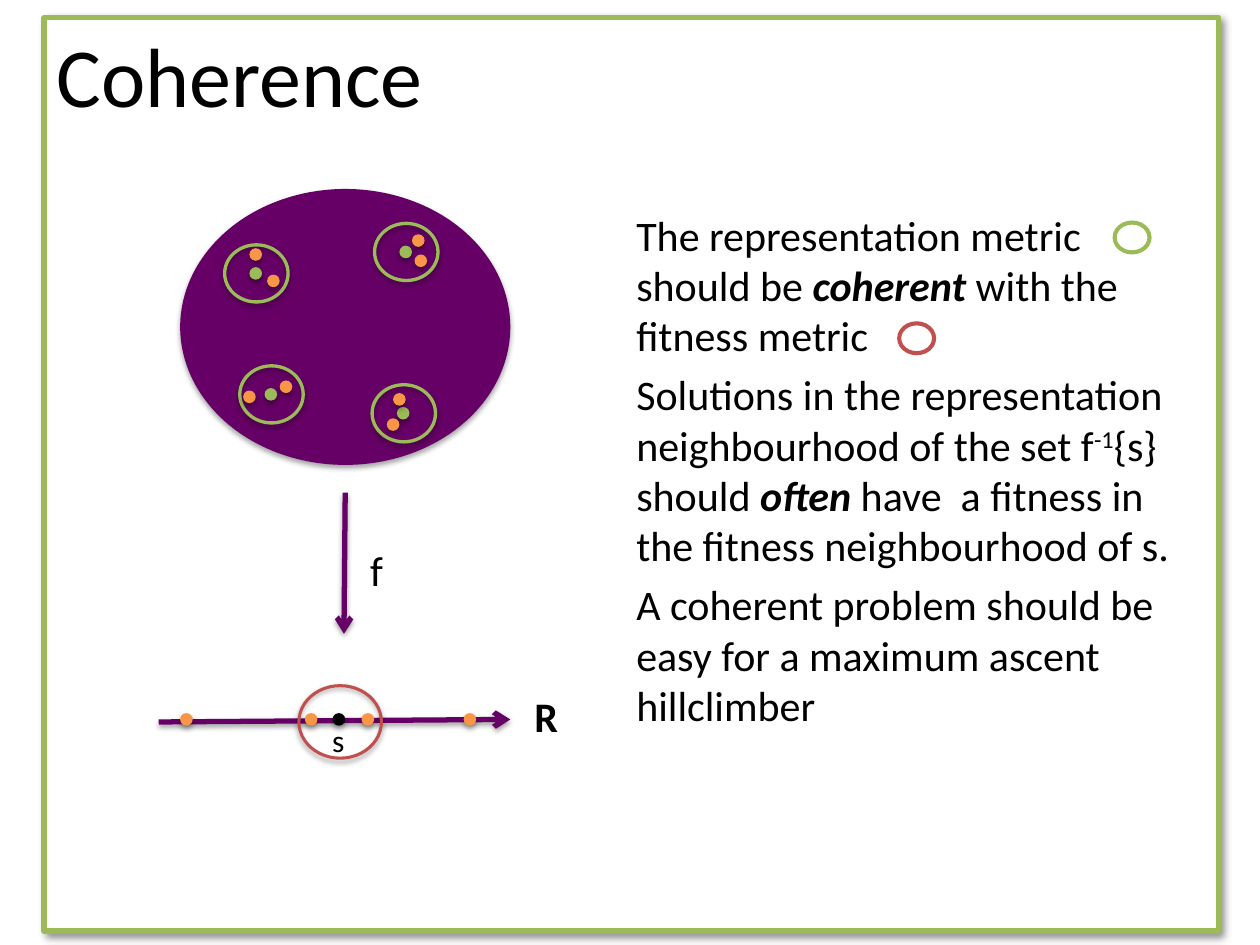
from lxml.etree import SubElement as Sub
from pptx import Presentation
from pptx.dml.color import RGBColor
from pptx.enum.shapes import MSO_CONNECTOR as Conn, MSO_SHAPE as Kind
from pptx.enum.text import MSO_ANCHOR as Anchor, MSO_AUTO_SIZE as Fit, PP_ALIGN as Align
from pptx.oxml.ns import qn
from pptx.util import Inches, Pt

WHITE = RGBColor(0xFF, 0xFF, 0xFF)
BLACK = RGBColor(0x00, 0x00, 0x00)
GREEN = RGBColor(0x9B, 0xBB, 0x59)
RED = RGBColor(0xC0, 0x50, 0x4D)
ORANGE = RGBColor(0xF7, 0x96, 0x46)
PURPLE = RGBColor(0x66, 0x00, 0x66)
SOFT = (35, 3.1, 1.8, 90)
LINED = (38, 3.1, 1.6, 90)
FRAMED = (43, 4, 3, 45)
DOT = 0.1


def shade(item, look):
    """Give an item a black outer shadow, or none when look is empty."""
    props = item._element.spPr
    box = props.find(qn("a:effectLst"))
    if box is None:
        box = Sub(props, qn("a:effectLst"))
    if look:
        alpha, blur, dist, angle = look
        outer = Sub(box, qn("a:outerShdw"), blurRad=str(Pt(blur)), dist=str(Pt(dist)),
                    dir=str(angle * 60000), algn="ctr", rotWithShape="0")
        tint = Sub(outer, qn("a:srgbClr"), val=str(BLACK))
        Sub(tint, qn("a:alpha"), val=str(alpha * 1000))


def draw(slide, kind, x, y, w, h, fill, look=SOFT, adj=None):
    """Add a filled shape without an outline."""
    shape = slide.shapes.add_shape(kind, Inches(x), Inches(y), Inches(w), Inches(h))
    shape.shadow.inherit = False
    shape.fill.solid()
    shape.fill.fore_color.rgb = fill
    shape.line.fill.background()
    if adj is not None:
        shape.adjustments[0] = adj
    shade(shape, look)
    return shape


def dot(slide, x, y, color):
    """Add one small point."""
    draw(slide, Kind.OVAL, x, y, DOT, DOT, color)


def arrow(slide, x1, y1, x2, y2):
    """Add a purple arrow."""
    line = slide.shapes.add_connector(Conn.STRAIGHT, Inches(x1), Inches(y1), Inches(x2), Inches(y2))
    line.line.color.rgb = PURPLE
    line.line.width = Pt(3)
    Sub(line.line._get_or_add_ln(), qn("a:tailEnd"), type="arrow")
    shade(line, LINED)


def write(para, text, size, bold=False, slant=False, base=0):
    """Add one run to a paragraph."""
    run = para.add_run()
    run.text = text
    font = run.font
    font.name, font.size = "Calibri", Pt(size)
    font.bold, font.italic = bold, slant
    font.color.rgb = BLACK
    if base:
        run._r.get_or_add_rPr().set("baseline", str(base * 1000))


def label(slide, x, y, w, h, text, size, bold=False, align=Align.CENTER):
    """Add a one-line label."""
    frame = slide.shapes.add_textbox(Inches(x), Inches(y), Inches(w), Inches(h)).text_frame
    frame.word_wrap = True
    frame.auto_size = Fit.SHAPE_TO_FIT_TEXT
    para = frame.paragraphs[0]
    para.alignment = align
    write(para, text, size, bold)


def title(slide, x, y, w, h):
    """Draw the framed panel with the heading."""
    panel = draw(slide, Kind.RECTANGLE, x, y, w, h, WHITE, FRAMED)
    panel.line.color.rgb = GREEN
    panel.line.width = Pt(3)
    frame = panel.text_frame
    frame.vertical_anchor = Anchor.TOP
    para = frame.paragraphs[0]
    para.alignment = Align.LEFT
    para.space_before = Pt(9.6)
    write(para, "Coherence", 48)


def space(slide, x, y, w, h):
    """Draw the search space with its four neighbourhoods."""
    draw(slide, Kind.OVAL, x, y, w, h, PURPLE)
    groups = [
        (0.55, 0.62, [(0.14, 0.06), (0, -0.15)]),
        (0.67, 1.58, [(0.12, -0.06), (-0.17, 0.02)]),
        (1.72, 1.73, [(-0.08, 0.09), (-0.03, -0.11)]),
        (1.74, 0.45, [(0.12, 0.07), (0.1, -0.09)]),
    ]
    for dx, dy, near in groups:
        cx, cy = x + dx, y + dy
        dot(slide, cx, cy, GREEN)
        draw(slide, Kind.DONUT, cx - 0.21, cy - 0.19, 0.53, 0.48, GREEN, adj=0.055)
        for ox, oy in near:
            dot(slide, cx + ox, cy + oy, ORANGE)


def map_down(slide, x, y, h):
    """Draw the arrow of the function f."""
    arrow(slide, x + 0.01, y, x, y + h)
    label(slide, x + 0.11, y + 0.36, 0.43, 0.5, "f", 24, align=Align.LEFT)


def axis(slide, x, y, w):
    """Draw the real line with the fitness neighbourhood of s."""
    arrow(slide, x, y + 0.3, x + w, y + 0.28)
    label(slide, x + 2.67, y, 0.81, 0.5, "R", 24, True)
    dot(slide, x + 1.38, y + 0.23, BLACK)
    for dx in (0.17, 1.16, 1.61, 2.42):
        dot(slide, x + dx, y + 0.23, ORANGE)
    draw(slide, Kind.DONUT, x + 1.1, y, 0.68, 0.6, RED, adj=0.041)
    label(slide, x + 1.27, y + 0.24, 0.31, 0.4, "s", 18)


def notes(slide, x, y, w, h):
    """Write the explanation and its two ring keys."""
    frame = slide.shapes.add_textbox(Inches(x), Inches(y), Inches(w), Inches(h)).text_frame
    frame.word_wrap = True
    frame.margin_left = frame.margin_right = Inches(0.32)
    frame.margin_top = frame.margin_bottom = Inches(0.16)
    strong = {"bold": True, "slant": True}
    paras = [
        [("The representation metric should be ", {}), ("coherent", strong),
         (" with the fitness metric", {})],
        [("Solutions in the representation neighbourhood of the set f", {}),
         ("-1", {"base": 30}), ("{s} should ", {}), ("often", strong),
         (" have  a fitness in the fitness neighbourhood of s.", {})],
        [("A coherent problem should be easy for a maximum ascent hillclimber", {})],
    ]
    for i, runs in enumerate(paras):
        para = frame.add_paragraph() if i else frame.paragraphs[0]
        para.space_before = Pt(4.8)
        for text, style in runs:
            write(para, text, 24, **style)
    for dx, dy, color in ((4.1, 0.25, GREEN), (2.39, 1.05, RED)):
        draw(slide, Kind.DONUT, x + dx, y + dy, 0.31, 0.27, color, None, 0.122)


deck = Presentation()
deck.slide_width, deck.slide_height = Inches(10), Inches(7.5)
page = deck.slides.add_slide(deck.slide_layouts[6])
title(page, 0.35, 0.14, 9.32, 7.25)
space(page, 1.43, 1.5, 2.62, 2.19)
map_down(page, 2.73, 3.91, 1.12)
axis(page, 1.26, 5.43, 2.79)
notes(page, 4.73, 1.5, 4.97, 5.98)
deck.save("out.pptx")
